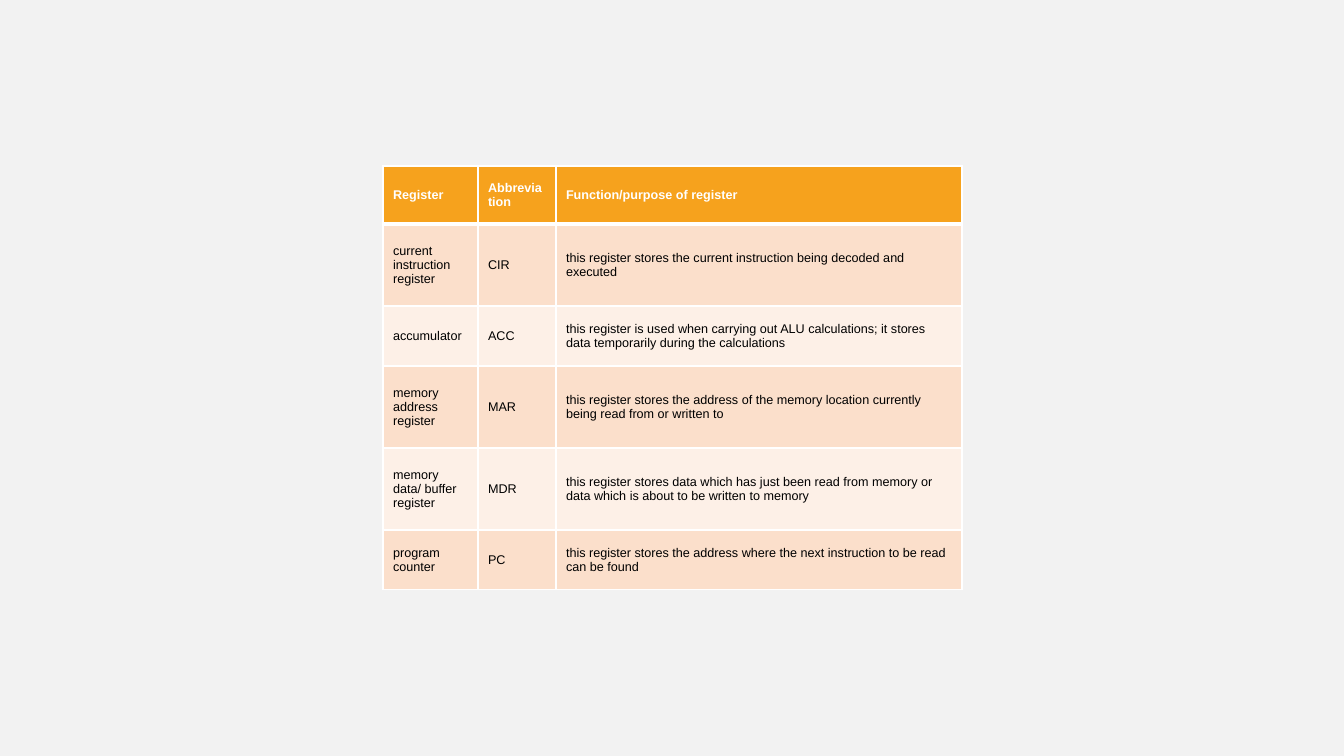
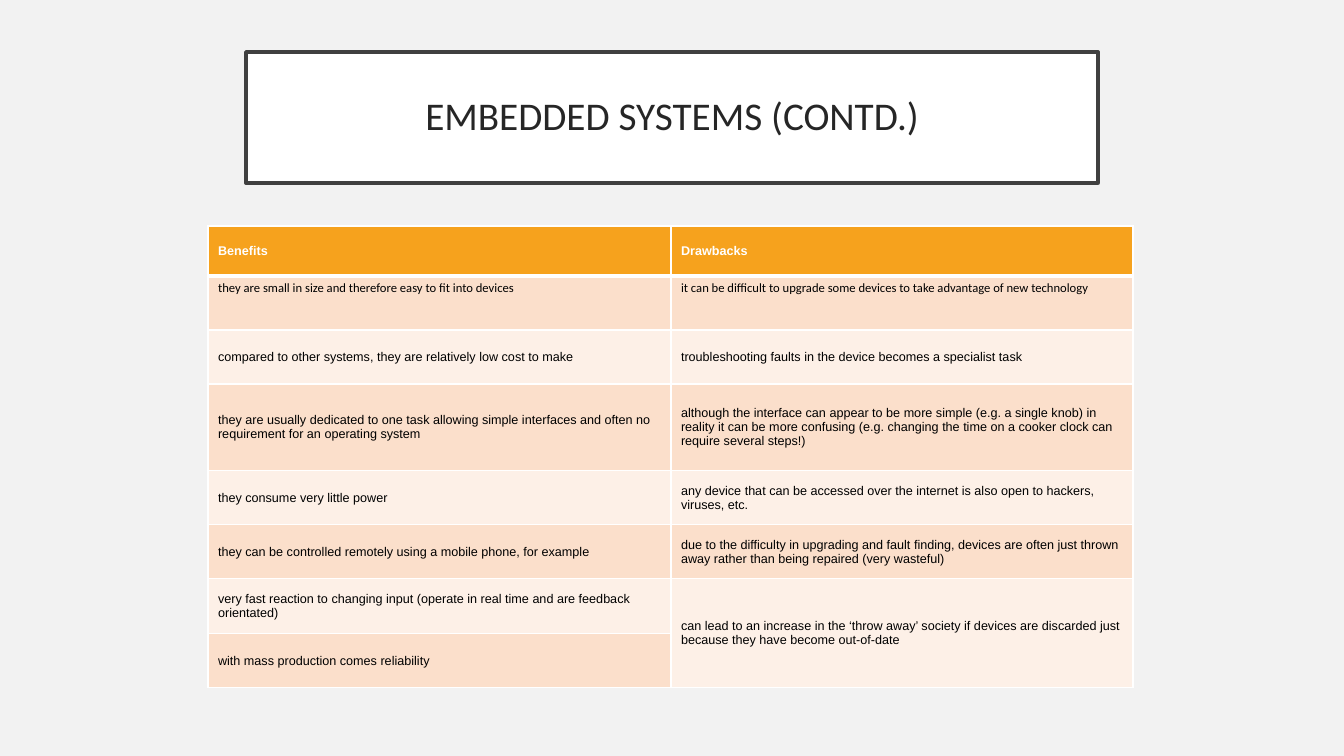
import pptx
import pptx.util
import pptx.dml.color
import pptx.enum.shapes
import pptx.enum.text
import pptx.oxml

WIDE, HIGH = 1344, 756
SCALE = 12192000 / WIDE
BACK, WHITE, BLACK = "F2F2F2", "FFFFFF", "000000"
HEAD, BANDS = "F6A21D", ("FBDFCB", "FDF0E7")
FRAME, INK = "404040", "262626"
NS = "http://schemas.openxmlformats.org/drawingml/2006/main"
MIDDLE = pptx.enum.text.MSO_ANCHOR.MIDDLE
TOP = pptx.enum.text.MSO_ANCHOR.TOP


def px(num):
    return pptx.util.Emu(round(num * SCALE))


def paint(fill, tone):
    fill.solid()
    fill.fore_color.rgb = pptx.dml.color.RGBColor.from_string(tone)


def style(par, face, size, tone, bold=False):
    font = par.font
    font.name, font.size, font.bold = face, pptx.util.Pt(size), bold
    font.color.rgb = pptx.dml.color.RGBColor.from_string(tone)


def edge(cell, row):
    """White cell borders, with a thick rule under the header."""
    sides = {"L": 1, "R": 1, "T": 3 if row == 1 else 1, "B": 3 if row == 0 else 1}
    props = cell._tc.get_or_add_tcPr()
    for spot, (side, width) in enumerate(sides.items()):
        props.insert(spot, pptx.oxml.parse_xml(
            f'<a:ln{side} xmlns:a="{NS}" w="{pptx.util.Pt(width)}"><a:solidFill>'
            f'<a:srgbClr val="{WHITE}"/></a:solidFill></a:ln{side}>'))


def add_page(deck):
    page = deck.slides.add_slide(deck.slide_layouts[6])
    paint(page.background.fill, BACK)
    return page


def add_title(page, box, text):
    shape = page.shapes.add_shape(
        pptx.enum.shapes.MSO_SHAPE.RECTANGLE, *map(px, box))
    shape.shadow.inherit = False
    paint(shape.fill, WHITE)
    paint(shape.line.fill, FRAME)
    shape.line.width = pptx.util.Pt(2.5)
    frame = shape.text_frame
    frame.word_wrap = True
    frame.vertical_anchor = MIDDLE
    frame.margin_left = frame.margin_right = px(20)
    frame.margin_top = frame.margin_bottom = px(20)
    par = frame.paragraphs[0]
    par.text = text
    par.alignment = pptx.enum.text.PP_ALIGN.CENTER
    par.line_spacing = 0.9
    style(par, "Calibri", 28, INK)


def add_grid(page, left, top, cols, rows, data, loose=()):
    """Banded table; None joins the cell above, loose rows sit at the top."""
    grid = page.shapes.add_table(
        len(rows), len(cols), *map(px, (left, top, sum(cols), sum(rows)))).table
    for col, width in zip(grid.columns, cols):
        col.width = px(width)
    for row, height in zip(grid.rows, rows):
        row.height = px(height)
    for r, line in enumerate(data):
        for c, text in enumerate(line):
            cell = grid.cell(r, c)
            paint(cell.fill, BANDS[(r - 1) % 2] if r else HEAD)
            edge(cell, r)
            if text is None:
                grid.cell(r - 1, c).merge(cell)
                continue
            cell.vertical_anchor = TOP if r in loose else MIDDLE
            par = cell.text_frame.paragraphs[0]
            par.text = text
            style(par, "Calibri" if r in loose else "Arial", 9,
                  BLACK if r else WHITE, r == 0)


REGISTERS = [
    ("Register", "Abbreviation", "Function/purpose of register"),
    ("current instruction register", "CIR",
     "this register stores the current instruction being decoded and executed"),
    ("accumulator", "ACC",
     "this register is used when carrying out ALU calculations; "
     "it stores data temporarily during the calculations"),
    ("memory address register", "MAR",
     "this register stores the address of the memory location "
     "currently being read from or written to"),
    ("memory data/ buffer register", "MDR",
     "this register stores data which has just been read from memory "
     "or data which is about to be written to memory"),
    ("program counter", "PC",
     "this register stores the address where the next instruction "
     "to be read can be found"),
]
EMBEDDED = [
    ("Benefits", "Drawbacks"),
    ("they are small in size and therefore easy to fit into devices",
     "it can be difficult to upgrade some devices to take advantage of new technology"),
    ("compared to other systems, they are relatively low cost to make",
     "troubleshooting faults in the device becomes a specialist task"),
    ("they are usually dedicated to one task allowing simple interfaces "
     "and often no requirement for an operating system",
     "although the interface can appear to be more simple (e.g. a single knob) "
     "in reality it can be more confusing (e.g. changing the time on a cooker "
     "clock can require several steps!)"),
    ("they consume very little power",
     "any device that can be accessed over the internet is also open to "
     "hackers, viruses, etc."),
    ("they can be controlled remotely using a mobile phone, for example",
     "due to the difficulty in upgrading and fault finding, devices are often "
     "just thrown away rather than being repaired (very wasteful)"),
    ("very fast reaction to changing input (operate in real time and are "
     "feedback orientated)",
     "can lead to an increase in the ‘throw away’ society if devices are "
     "discarded just because they have become out-of-date"),
    ("with mass production comes reliability", None),
]


def main():
    deck = pptx.Presentation()
    deck.slide_width, deck.slide_height = px(WIDE), px(HIGH)

    # Registers
    page = add_page(deck)
    add_grid(page, 383, 166, (95, 78, 406), (58, 82, 60, 82, 82, 60), REGISTERS)

    # Embedded systems
    page = add_page(deck)
    add_title(page, (246, 52, 852, 131), "EMBEDDED SYSTEMS (CONTD.)")
    add_grid(page, 208, 226, (463, 462), (50, 54, 54, 87, 54, 54, 55, 54),
             EMBEDDED, loose=(1,))

    deck.save("out.pptx")


if __name__ == "__main__":
    main()
